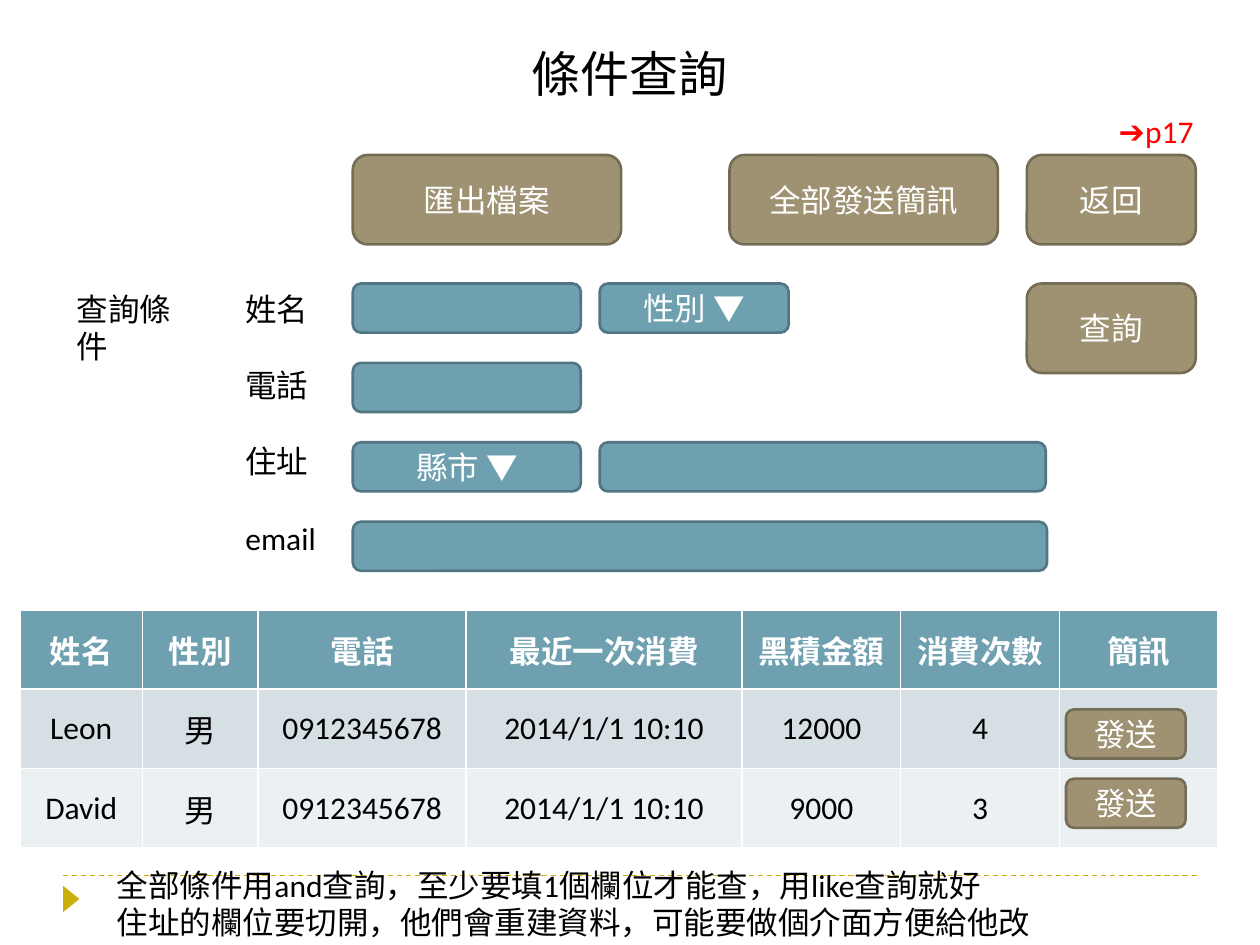
from lxml import etree
from pptx import Presentation
from pptx.dml.color import RGBColor
from pptx.enum.dml import MSO_LINE
from pptx.enum.shapes import MSO_CONNECTOR, MSO_SHAPE
from pptx.enum.text import MSO_ANCHOR, MSO_AUTO_SIZE, PP_ALIGN
from pptx.oxml.ns import qn
from pptx.util import Emu, Pt

ROUNDED = MSO_SHAPE.ROUNDED_RECTANGLE
TRIANGLE = MSO_SHAPE.ISOSCELES_TRIANGLE
STRAIGHT = MSO_CONNECTOR.STRAIGHT
DASH = MSO_LINE.DASH
CENTER = PP_ALIGN.CENTER
LEFT = PP_ALIGN.LEFT
MIDDLE = MSO_ANCHOR.MIDDLE
NO_AUTOFIT = MSO_AUTO_SIZE.NONE

BLACK = RGBColor(0x00, 0x00, 0x00)
WHITE = RGBColor(0xFF, 0xFF, 0xFF)
RED = RGBColor(0xFF, 0x00, 0x00)
GOLD = RGBColor(0xCC, 0xAF, 0x0A)
TAN = RGBColor(0x9E, 0x92, 0x73)
TAN_EDGE = RGBColor(0x75, 0x6C, 0x55)
TEAL = RGBColor(0x6E, 0xA0, 0xB0)
TEAL_EDGE = RGBColor(0x51, 0x76, 0x82)
BAND_DARK = RGBColor(0xD5, 0xDF, 0xE4)
BAND_LIGHT = RGBColor(0xEB, 0xF0, 0xF2)

EMU_PER_PX = 9144  # 100 px to the inch


def px(*lengths):
    return [Emu(length * EMU_PER_PX) for length in lengths]


class SlideBuilder:
    font_name = "Calibri"
    body_size = 18

    def __init__(self, slide):
        self.slide = slide
        self.shapes = slide.shapes

    def style(self, text_frame, color, size=body_size, align=LEFT, bold=False):
        for paragraph in text_frame.paragraphs:
            paragraph.alignment = align
            font = paragraph.font
            font.name, font.size, font.bold = self.font_name, Pt(size), bold
            font.color.rgb = color

    def title(self, text, *box):
        shape = self.shapes.title
        shape.left, shape.top, shape.width, shape.height = px(*box)
        frame = shape.text_frame
        frame.text = text
        frame.word_wrap = False
        frame.auto_size = NO_AUTOFIT
        frame.vertical_anchor = MIDDLE
        self.style(frame, BLACK, 28, CENTER)

    def text(self, text, *box, color=BLACK, wrap=False, space_after=0):
        frame = self.shapes.add_textbox(*px(*box)).text_frame
        frame.text = text
        frame.word_wrap = wrap
        self.style(frame, color)
        for paragraph in frame.paragraphs:
            paragraph.space_after = Pt(space_after)

    def box(self, text, *box, fill, edge):
        shape = self.shapes.add_shape(ROUNDED, *px(*box))
        shape.shadow.inherit = False
        shape.fill.solid()
        shape.fill.fore_color.rgb = fill
        shape.line.color.rgb = edge
        shape.line.width = Pt(1.5)
        if text:
            frame = shape.text_frame
            frame.text = text
            frame.vertical_anchor = MIDDLE
            self.style(frame, WHITE, align=CENTER)

    def button(self, text, *box):
        self.box(text, *box, fill=TAN, edge=TAN_EDGE)

    def field(self, text, *box):
        self.box(text, *box, fill=TEAL, edge=TEAL_EDGE)

    def dashed_line(self, *ends):
        line = self.shapes.add_connector(STRAIGHT, *px(*ends))
        line.line.color.rgb = GOLD
        line.line.width = Pt(0.75)
        line.line.dash_style = DASH
        etree.SubElement(line._element.spPr, qn("a:effectLst"))

    def marker(self, *box):
        shape = self.shapes.add_shape(TRIANGLE, *px(*box))
        shape.rotation = 90
        shape.shadow.inherit = False
        shape.fill.solid()
        shape.fill.fore_color.rgb = GOLD
        shape.line.fill.background()

    def table(self, rows, left, top, column_widths, row_height):
        width, height = sum(column_widths), row_height * len(rows)
        table = self.shapes.add_table(
            len(rows), len(column_widths), *px(left, top, width, height)).table
        for column, column_width in zip(table.columns, px(*column_widths)):
            column.width = column_width
        fills = [TEAL, BAND_DARK, BAND_LIGHT]
        for row_index, values in enumerate(rows):
            header = row_index == 0
            for column_index, value in enumerate(values):
                cell = table.cell(row_index, column_index)
                cell.text = value
                cell.vertical_anchor = MIDDLE
                cell.fill.solid()
                cell.fill.fore_color.rgb = fills[row_index]
                self.style(cell.text_frame, WHITE if header else BLACK,
                           align=CENTER, bold=header)


def main():
    presentation = Presentation()
    presentation.slide_width, presentation.slide_height = px(1000, 750)
    builder = SlideBuilder(
        presentation.slides.add_slide(presentation.slide_layouts[5]))

    # Footer rule and marker
    builder.dashed_line(50, 695, 950, 695)
    builder.marker(46, 707, 21, 13)

    builder.title("條件查詢", 411, 29, 177, 57)

    # Results, with a send button on each row
    builder.table([
        ["姓名", "性別", "電話", "最近一次消費", "黑積金額", "消費次數", "簡訊"],
        ["Leon", "男", "0912345678", "2014/1/1 10:10", "12000", "4", ""],
        ["David", "男", "0912345678", "2014/1/1 10:10", "9000", "3", ""],
    ], 16, 484, [97, 92, 165, 219, 126, 126, 126], 63)
    for top in (563, 618):
        builder.button("發送", 846, top, 95, 39)

    # Notes
    builder.text("全部條件用and查詢，至少要填1個欄位才能查，用like查詢就好\n"
                 "住址的欄位要切開，他們會重建資料，可能要做個介面方便給他改",
                 83, 682, 778, 71)

    # Action buttons
    button_top, form_top = 123, 225
    for text, left, top, width in [
        ("匯出檔案", 280, button_top, 213),
        ("全部發送簡訊", 579, button_top, 213),
        ("返回", 815, button_top, 134),
        ("查詢", 815, form_top, 134),
    ]:
        builder.button(text, left, top, width, 71)
    builder.text("➔p17", 878, 84, 86, 40, color=RED)

    # Query form labels
    builder.text("查詢條件", 51, form_top, 115, 40, wrap=True)
    builder.text("姓名\n電話\n住址\nemail", 185, form_top, 77, 222,
                 space_after=22)

    # Query form fields: row, text, left, width
    row_pitch = 63
    for row, text, left, width in [
        (0, "", 280, 181), (0, "性別 ▼", 476, 150),
        (1, "", 280, 181),
        (2, "縣市 ▼", 280, 181), (2, "", 476, 354),
        (3, "", 280, 551),
    ]:
        builder.field(text, left, form_top + row * row_pitch, width, 39)

    presentation.save("out.pptx")


if __name__ == "__main__":
    main()
